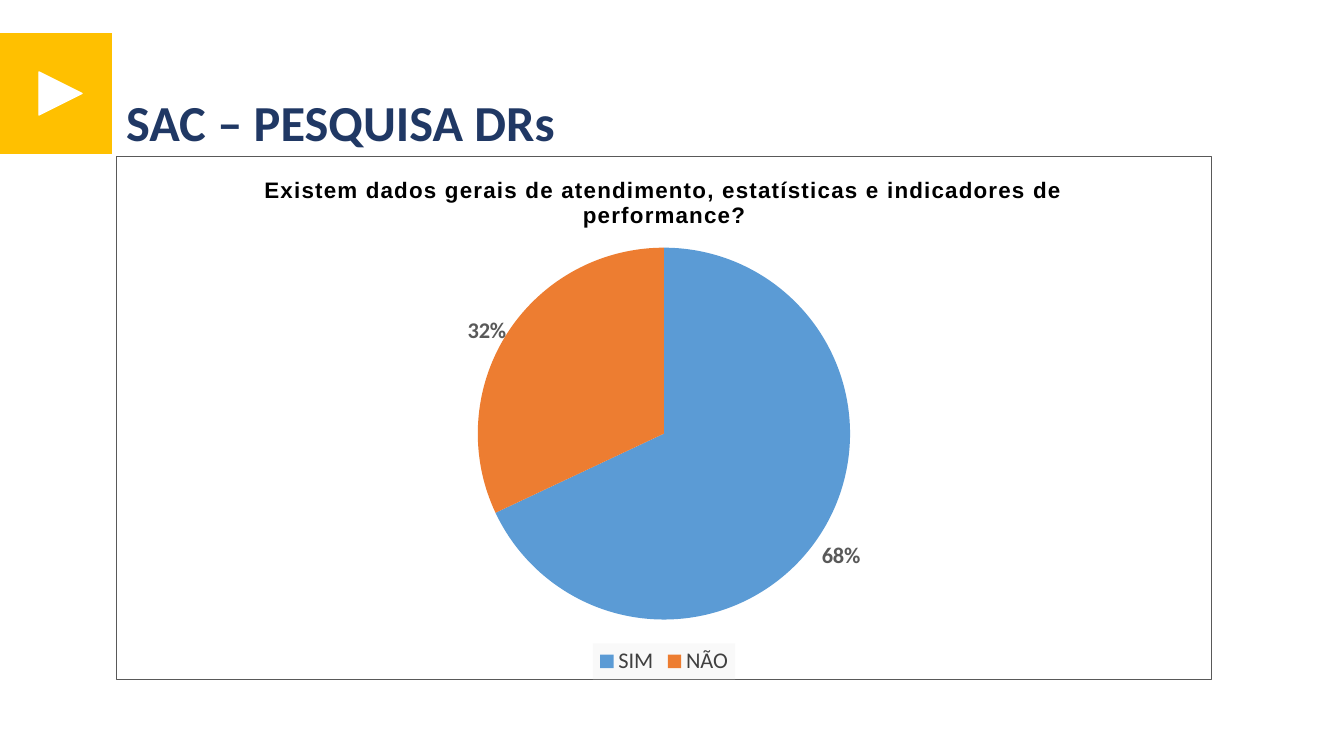
from pptx import Presentation
from pptx.chart.data import CategoryChartData
from pptx.dml.color import RGBColor
from pptx.enum.chart import XL_CHART_TYPE, XL_LEGEND_POSITION
from pptx.enum.shapes import MSO_SHAPE
from pptx.enum.text import MSO_ANCHOR, MSO_AUTO_SIZE, PP_ALIGN
from pptx.oxml import parse_xml
from pptx.oxml.ns import qn
from pptx.util import Emu, Pt

GOLD = RGBColor(0xFF, 0xC0, 0x00)
WHITE = RGBColor(0xFF, 0xFF, 0xFF)
NAVY = RGBColor(0x20, 0x38, 0x64)
BLACK = RGBColor(0x00, 0x00, 0x00)
GREY = RGBColor(0x59, 0x59, 0x59)
DARK = RGBColor(0x40, 0x40, 0x40)
BLUE = RGBColor(0x5B, 0x9B, 0xD5)
ORANGE = RGBColor(0xED, 0x7D, 0x31)
NS = ('xmlns:c="http://schemas.openxmlformats.org/drawingml/2006/chart" '
      'xmlns:a="http://schemas.openxmlformats.org/drawingml/2006/main"')


def px(*nums):
    return [Emu(round(n * 914400 / 100.8)) for n in nums]


def style(font, face, size, color, bold=False):
    font.name, font.size, font.bold = face, Pt(size), bold
    font.color.rgb = color


deck = Presentation()
deck.slide_width, deck.slide_height = px(1344, 756)
slide = deck.slides.add_slide(deck.slide_layouts[5])

marks = [
    (MSO_SHAPE.RECTANGLE, (0, 33, 112, 121), 0, GOLD),
    (MSO_SHAPE.ISOSCELES_TRIANGLE, (39, 72, 43, 43), 90, WHITE),
]
for kind, box, turn, color in marks:
    mark = slide.shapes.add_shape(kind, *px(*box))
    mark.rotation = turn
    mark.shadow.inherit = False
    mark.fill.solid()
    mark.fill.fore_color.rgb = color
    if turn:
        mark.line.color.rgb = color
        mark.line.width = Pt(1)
    else:
        mark.line.fill.background()

title = slide.shapes.title
title.left, title.top, title.width, title.height = px(116, 93, 948, 54)
frame = title.text_frame
frame.word_wrap = True
frame.auto_size = MSO_AUTO_SIZE.NONE
frame.vertical_anchor = MSO_ANCHOR.TOP
para = frame.paragraphs[0]
para.alignment = PP_ALIGN.LEFT
para.line_spacing = 0.9
run = para.add_run()
run.text = "SAC – PESQUISA DRs"
style(run.font, "Calibri", 36, NAVY, True)

data = CategoryChartData()
data.categories = ["SIM", "NÃO"]
data.add_series("Series 1", (68, 32))
chart = slide.shapes.add_chart(
    XL_CHART_TYPE.PIE, *px(116, 156, 1096, 524), data).chart
style(chart.font, "Calibri", 10, BLACK)

chart.has_title = True
head = chart.chart_title
head.include_in_layout = False
run = head.text_frame.paragraphs[0].add_run()
run.text = ("Existem dados gerais de atendimento, estatísticas "
            "e indicadores de performance?")
style(run.font, "Arial", 16, BLACK, True)
run.font._element.set("spc", "100")

chart.has_legend = True
legend = chart.legend
legend.position = XL_LEGEND_POSITION.BOTTOM
legend.include_in_layout = False
style(legend.font, "Calibri", 16, DARK)
legend._element.find(qn("c:txPr")).addprevious(parse_xml(
    f'<c:spPr {NS}><a:solidFill><a:srgbClr val="F2F2F2">'
    '<a:alpha val="39000"/></a:srgbClr></a:solidFill></c:spPr>'))

plot = chart.plots[0]
plot.vary_by_categories = True
pie = plot.series[0]
for spot, color in enumerate((BLUE, ORANGE)):
    fill = pie.points[spot].format.fill
    fill.solid()
    fill.fore_color.rgb = color

shows = '<c:dLblPos val="ctr"/>' + "".join(
    f'<c:show{part} val="{int(part == "Percent")}"/>'
    for part in ("LegendKey", "Val", "CatName", "SerName", "Percent", "BubbleSize"))
look = ('<c:numFmt formatCode="0%" sourceLinked="0"/><c:spPr><a:noFill/></c:spPr>'
        '<c:txPr><a:bodyPr/><a:p><a:pPr><a:defRPr sz="1600" b="1"><a:solidFill>'
        f'<a:srgbClr val="{GREY}"/></a:solidFill><a:latin typeface="Calibri"/>'
        '</a:defRPr></a:pPr></a:p></c:txPr>')
shifts = [(0.09, 0.14), (-0.09, -0.1)]
tags = "".join(
    f'<c:dLbl><c:idx val="{spot}"/><c:layout><c:manualLayout><c:x val="{x}"/>'
    f'<c:y val="{y}"/></c:manualLayout></c:layout>{look}{shows}</c:dLbl>'
    for spot, (x, y) in enumerate(shifts))
pie._element.find(qn("c:cat")).addprevious(parse_xml(
    f'<c:dLbls {NS}>{tags}{look}{shows}<c:showLeaderLines val="0"/></c:dLbls>'))

root = chart._chartSpace
area = root.chart.plotArea
for old in area.findall(qn("c:layout")):
    area.remove(old)
sides = "".join(f'<c:{key} val="{val}"/>' for key, val in
                (("x", 0.33), ("y", 0.17), ("w", 0.34), ("h", 0.72)))
area.insert(0, parse_xml(
    f'<c:layout {NS}><c:manualLayout><c:layoutTarget val="inner"/>'
    '<c:xMode val="edge"/><c:yMode val="edge"/>'
    f'{sides}</c:manualLayout></c:layout>'))
root.chart.addnext(parse_xml(
    f'<c:spPr {NS}><a:solidFill><a:srgbClr val="{WHITE}"/></a:solidFill>'
    f'<a:ln w="{Pt(0.75)}"><a:solidFill><a:srgbClr val="{GREY}"/>'
    '</a:solidFill></a:ln></c:spPr>'))

deck.save("out.pptx")
